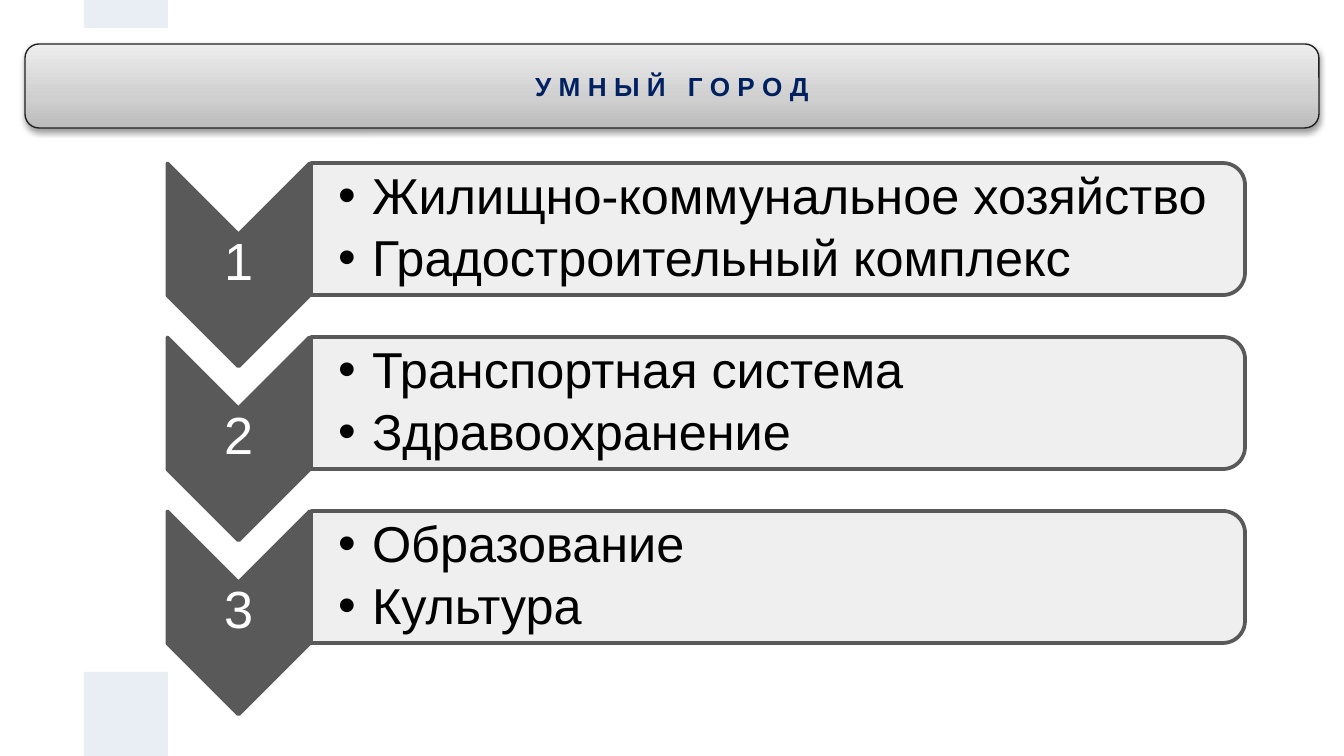
"""Build the smart city slide: a title bar above three numbered steps."""
from lxml import etree
from pptx import Presentation
from pptx.dml.color import RGBColor
from pptx.enum.shapes import MSO_SHAPE
from pptx.enum.text import MSO_ANCHOR, PP_ALIGN
from pptx.oxml import parse_xml
from pptx.oxml.ns import nsdecls, qn
from pptx.util import Pt

RECT = MSO_SHAPE.RECTANGLE
ROUNDED = MSO_SHAPE.ROUNDED_RECTANGLE
CHEVRON = MSO_SHAPE.CHEVRON
ROUND_TOP = MSO_SHAPE.ROUND_2_SAME_RECTANGLE
MIDDLE = MSO_ANCHOR.MIDDLE
LEFT, CENTER = PP_ALIGN.LEFT, PP_ALIGN.CENTER

BLACK = RGBColor(0x00, 0x00, 0x00)
WHITE = RGBColor(0xFF, 0xFF, 0xFF)
PALE_BLUE = RGBColor(0xE9, 0xED, 0xF4)
DARK_GRAY = RGBColor(0x59, 0x59, 0x59)
LIGHT_GRAY = RGBColor(0xEE, 0xEE, 0xEE)
EDGE = RGBColor(0x20, 0x20, 0x20)
NAVY = RGBColor(0x00, 0x20, 0x60)
TITLE_STOPS = [(0, RGBColor(0xBB, 0xBB, 0xBB)), (35, RGBColor(0xCF, 0xCF, 0xCF)),
               (100, RGBColor(0xED, 0xED, 0xED))]

FONT = "Arial"
EMU_PER_PX = 914400 / 134.4
WIDTH, HEIGHT = 1344, 756
STEP_TOP, STEP_PITCH = 163, 174
STEPS = [
    ("Жилищно-коммунальное хозяйство", "Градостроительный комплекс"),
    ("Транспортная система", "Здравоохранение"),
    ("Образование", "Культура"),
]


def px(length):
    """Turn px into EMU."""
    return round(length * EMU_PER_PX)


def write(paragraph, text, *, size, color, bold=False, align=LEFT, tracking=0):
    """Add a formatted run to a paragraph."""
    paragraph.alignment = align
    run = paragraph.add_run()
    run.text = text
    run.font.name = FONT
    run.font.size = Pt(size)
    run.font.bold = bold
    run.font.color.rgb = color
    if tracking:
        run.font._element.set("spc", str(tracking))


class Deck:
    """Hold the presentation style and the current slide."""

    def __init__(self):
        self.presentation = Presentation()
        self.presentation.slide_width = px(WIDTH)
        self.presentation.slide_height = px(HEIGHT)
        self.slide = self.presentation.slides.add_slide(self.presentation.slide_layouts[6])

    def shape(self, preset, left, top, width, height, *, fill=None, line=None,
              line_width=2, adjustments=(), alpha=None):
        """Add a preset shape without a shadow."""
        shape = self.slide.shapes.add_shape(preset, px(left), px(top), px(width), px(height))
        shape.shadow.inherit = False
        for index, value in enumerate(adjustments):
            shape.adjustments[index] = value
        if fill is not None:
            shape.fill.solid()
            shape.fill.fore_color.rgb = fill
        if alpha is not None:
            solid_color = shape._element.spPr.find(qn("a:solidFill"))[0]
            etree.SubElement(solid_color, qn("a:alpha")).set("val", str(alpha * 1000))
        if line is None:
            shape.line.fill.background()
        else:
            shape.line.color.rgb = line
            shape.line.width = Pt(line_width)
        return shape

    def turned(self, preset, left, top, width, height, **style):
        """Add a shape turned a quarter right that covers the given box."""
        shift = (width - height) // 2
        shape = self.shape(preset, left + shift, top - shift, height, width, **style)
        shape.rotation = 90

    def text_box(self, left, top, width, height, inset_left=3):
        """Add a wrapped, vertically centred text box and return its frame."""
        box = self.slide.shapes.add_textbox(px(left), px(top), px(width), px(height))
        frame = box.text_frame
        frame.word_wrap = True
        frame.vertical_anchor = MIDDLE
        frame.margin_left = px(inset_left)
        frame.margin_top = frame.margin_right = frame.margin_bottom = px(3)
        return frame

    def bullets(self, left, top, width, height, items):
        """Add a bulleted list."""
        frame = self.text_box(left, top, width, height, inset_left=28)
        for index, item in enumerate(items):
            paragraph = frame.add_paragraph() if index else frame.paragraphs[0]
            properties = paragraph._p.get_or_add_pPr()
            properties.set("marL", str(px(34)))
            properties.set("indent", str(px(-34)))
            color = etree.SubElement(properties, qn("a:buClr"))
            etree.SubElement(color, qn("a:srgbClr")).set("val", str(BLACK))
            etree.SubElement(properties, qn("a:buFont")).set("typeface", FONT)
            etree.SubElement(properties, qn("a:buChar")).set("char", "•")
            paragraph.level = 1
            paragraph.line_spacing = 0.9
            if index:
                paragraph.space_before = Pt(4)
            write(paragraph, item, size=27, color=BLACK)

    def step(self, number, top, items):
        """Add a numbered chevron with its bar and list."""
        self.turned(CHEVRON, 168, top, 142, 203, fill=DARK_GRAY, line=DARK_GRAY,
                    adjustments=[0.5])
        label = self.text_box(168, top + 71, 142, 60).paragraphs[0]
        label.line_spacing = 0.9
        write(label, str(number), size=28, color=WHITE, align=CENTER)
        self.turned(ROUND_TOP, 311, top, 934, 132, fill=LIGHT_GRAY, line=DARK_GRAY,
                    adjustments=[0.167, 0], alpha=90)
        self.bullets(310, top + 6, 927, 120, items)

    def title(self, left, top, width, height, words):
        """Add the shaded title bar with widely set words."""
        bar = self.shape(ROUNDED, left, top, width, height, line=EDGE, line_width=0.75,
                         adjustments=[0.167])
        bar.fill.gradient()
        bar.fill.gradient_angle = 90
        stops = bar._element.spPr.find(qn("a:gradFill")).find(qn("a:gsLst"))
        stops.clear()
        for position, color in TITLE_STOPS:
            stop = etree.SubElement(stops, qn("a:gs"))
            stop.set("pos", str(position * 1000))
            etree.SubElement(stop, qn("a:srgbClr")).set("val", str(color))
        bar._element.spPr.find(qn("a:effectLst")).append(parse_xml(
            f'<a:outerShdw {nsdecls("a")} blurRad="{Pt(3.1)}" dist="{Pt(1.6)}" dir="5400000" '
            f'rotWithShape="0"><a:srgbClr val="{BLACK}"><a:alpha val="38000"/></a:srgbClr>'
            '</a:outerShdw>'))
        bar.text_frame.vertical_anchor = MIDDLE
        heading = bar.text_frame.paragraphs[0]
        style = dict(size=14, color=NAVY, bold=True, align=CENTER)
        for index, word in enumerate(words):
            if index:
                write(heading, " ", tracking=780, **style)
            write(heading, " ".join(word), **style)


def main():
    """Build and save the slide."""
    deck = Deck()
    for top, height in ((672, 84), (0, 28)):
        deck.shape(RECT, 84, top, 84, height, fill=PALE_BLUE)
    for index, items in enumerate(STEPS):
        deck.step(index + 1, STEP_TOP + index * STEP_PITCH, items)
    deck.title(25, 44, 1294, 84, ("УМНЫЙ", "ГОРОД"))
    deck.presentation.save("out.pptx")


if __name__ == "__main__":
    main()
